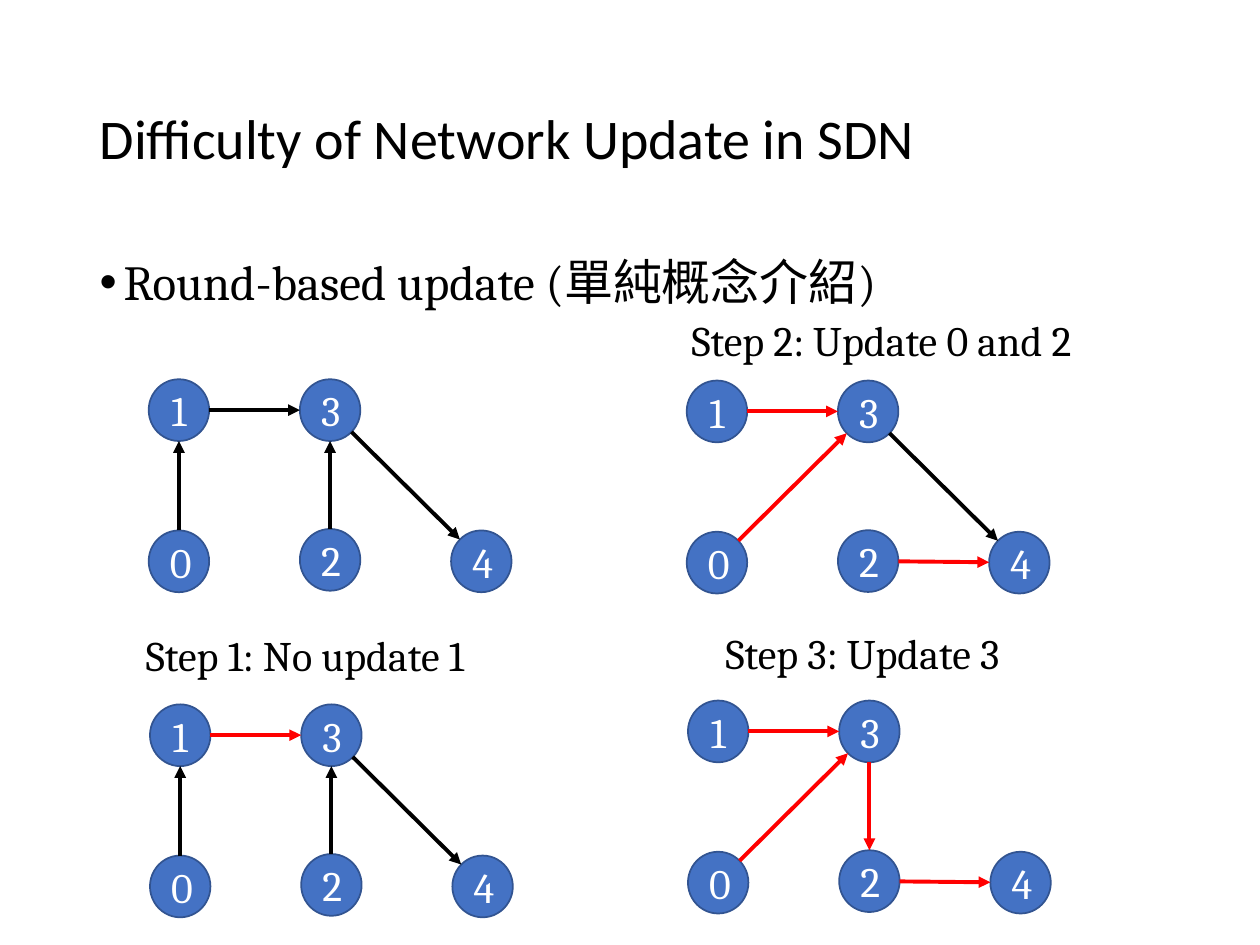
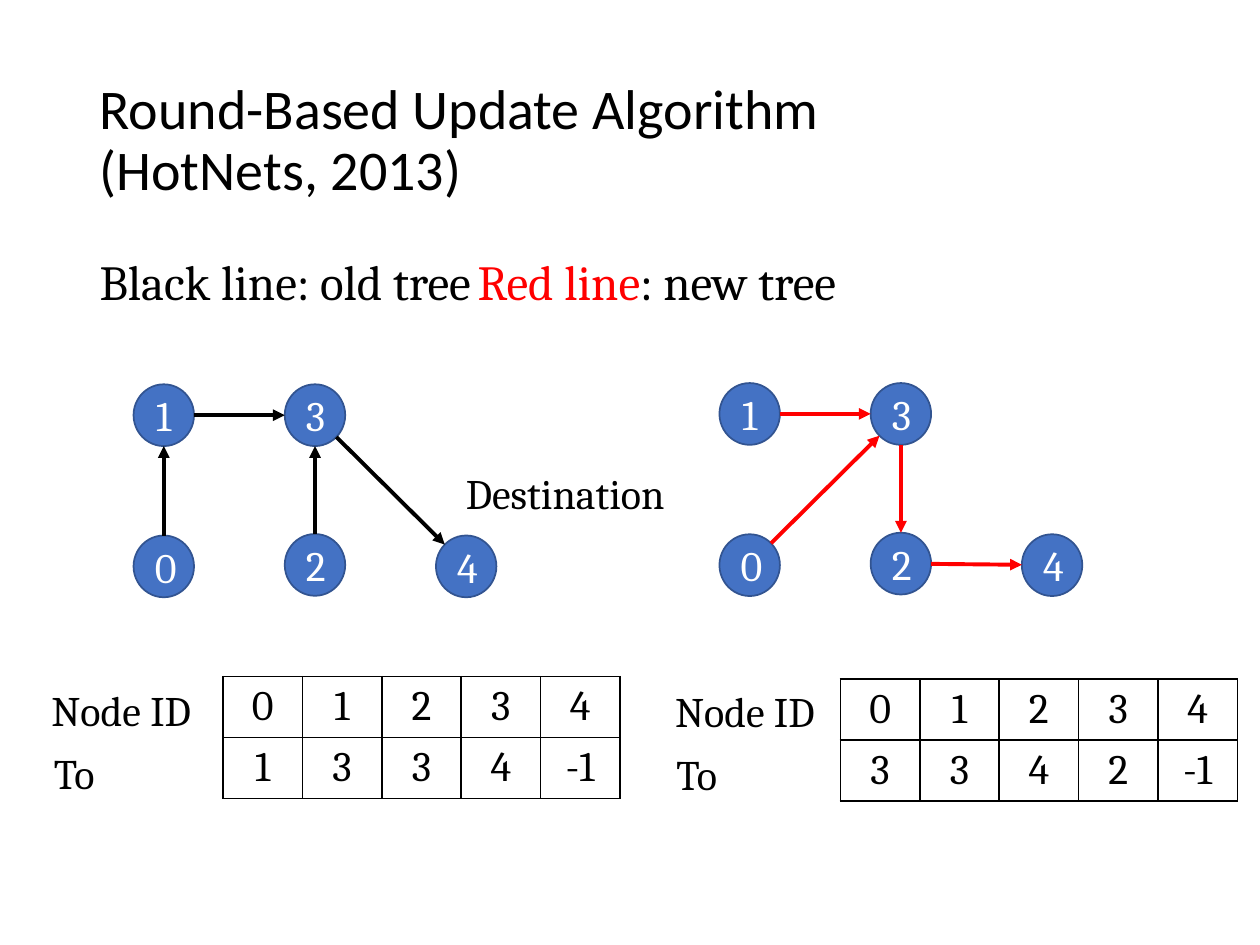
"""Build two slides on round-based network updates in SDN."""
import math

import pptx
import pptx.dml.color
import pptx.enum.shapes
import pptx.enum.text
import pptx.oxml.ns
import pptx.util
from lxml import etree

COLORS = {"ink": "000000", "new": "FF0000", "node": "4472C4",
          "rim": "325491", "digit": "FFFFFF"}
HEADING, READING, CHINESE = "Calibri", "Cambria", "Noto Sans CJK TC"
qn = pptx.oxml.ns.qn
rgb = pptx.dml.color.RGBColor.from_string
align = pptx.enum.text.PP_ALIGN
anchor = pptx.enum.text.MSO_ANCHOR
autosize = pptx.enum.text.MSO_AUTO_SIZE

deck = pptx.Presentation()
deck.slide_width = pptx.util.Inches(10)
deck.slide_height = pptx.util.Inches(7.5)
COL = deck.slide_width // 1000
ROW = deck.slide_height // 750

NODE_WIDTH, NODE_HEIGHT, PITCH = 48, 49, 120
NODE_CELLS = {"0": (0, 1), "1": (0, 0), "2": (1, 0.99), "3": (1, 0), "4": (2, 1)}
TITLE_AREA = (69, 40, 862, 145)
BODY_AREA = (69, 200, 918, 476)


def add_run(paragraph, text, size=24, font=READING, color="ink"):
    run = paragraph.add_run()
    run.text = text
    run.font.size = pptx.util.Pt(size)
    run.font.name = font
    run.font.color.rgb = rgb(COLORS[color])
    etree.SubElement(run._r.get_or_add_rPr(), qn("a:ea"), typeface=font)


def add_tree(slide, left, top, old_links, new_links):
    centers = {}
    for digit, (column, row) in NODE_CELLS.items():
        x, y = left + column * PITCH, top + row * PITCH
        centers[digit] = (x + NODE_WIDTH / 2, y + NODE_HEIGHT / 2)
        node = slide.shapes.add_shape(
            pptx.enum.shapes.MSO_SHAPE.OVAL, int(x * COL), int(y * ROW),
            NODE_WIDTH * COL, NODE_HEIGHT * ROW)
        node.shadow.inherit = False
        node.fill.solid()
        node.fill.fore_color.rgb = rgb(COLORS["node"])
        node.line.color.rgb = rgb(COLORS["rim"])
        node.line.width = pptx.util.Pt(1)
        node.text_frame.vertical_anchor = anchor.MIDDLE
        node.text_frame.paragraphs[0].alignment = align.CENTER
        add_run(node.text_frame.paragraphs[0], digit, color="digit")
    for links, color in ((old_links, "ink"), (new_links, "new")):
        for source, target in links.split():
            (x1, y1), (x2, y2) = centers[source], centers[target]
            angle = math.atan2(y2 - y1, x2 - x1)
            dx = math.cos(angle) * NODE_WIDTH / 2
            dy = math.sin(angle) * NODE_HEIGHT / 2
            arrow = slide.shapes.add_connector(
                pptx.enum.shapes.MSO_CONNECTOR.STRAIGHT,
                int((x1 + dx) * COL), int((y1 + dy) * ROW),
                int((x2 - dx) * COL), int((y2 - dy) * ROW))
            arrow.line.color.rgb = rgb(COLORS[color])
            arrow.line.width = pptx.util.Pt(2.25)
            etree.SubElement(arrow.line._get_or_add_ln(), qn("a:tailEnd"), type="triangle")
            etree.SubElement(arrow._element.spPr, qn("a:effectLst"))


OLD_TREE, NEW_TREE = "01 13 23 34", "03 13 24 32"
pages = [
    {"title": ["Difficulty of Network Update in SDN"],
     "bullet": True,
     "body": [("Round-based update (", READING, "ink"),
              ("單純概念介紹", CHINESE, "ink"), (")", READING, "ink")],
     "captions": [("Step 2: Update 0 and 2", 539, 245, 342),
                  ("Step 3: Update 3", 566, 493, 255),
                  ("Step 1: No update 1", 106, 495, 300)],
     "trees": [(118, 301, OLD_TREE, ""),
               (546, 556, "", NEW_TREE),
               (545, 302, "34", "03 13 24"),
               (119, 559, "01 23 34", "13")],
     "tables": []},
    {"title": ["Round-Based Update Algorithm", "(HotNets, 2013)"],
     "bullet": False,
     "body": [("Black line: old tree\t", READING, "ink"),
              ("Red line", READING, "new"), (": new tree", READING, "ink")],
     "captions": [("Node ID", 31, 538, 144), ("To", 33, 588, 63),
                  ("Node ID", 526, 539, 144), ("To", 527, 589, 63),
                  ("Destination", 360, 366, 187)],
     "trees": [(106, 305, OLD_TREE, ""), (571, 304, "", NEW_TREE)],
     "tables": [(177, 537, ["1", "3", "3", "4", "-1"]),
                (667, 539, ["3", "3", "4", "2", "-1"])]},
]

for page in pages:
    slide = deck.slides.add_slide(deck.slide_layouts[1])
    title, body = slide.shapes.title, slide.placeholders[1]
    for holder, (left, top, width, height) in ((title, TITLE_AREA), (body, BODY_AREA)):
        holder.left, holder.top = left * COL, top * ROW
        holder.width, holder.height = width * COL, height * ROW
        holder.text_frame.auto_size = autosize.NONE
        holder.text_frame.word_wrap = True
        holder.text_frame.paragraphs[0].alignment = align.LEFT
        holder.text_frame.paragraphs[0].line_spacing = 0.9
        holder.text_frame.paragraphs[0].space_before = pptx.util.Pt(0)
    title.text_frame.vertical_anchor = anchor.MIDDLE
    heading = title.text_frame.paragraphs[0]
    for number, line in enumerate(page["title"]):
        if number:
            heading.add_line_break()
        add_run(heading, line, 32, HEADING)

    topic = body.text_frame.paragraphs[0]
    properties = topic._p.get_or_add_pPr()
    hanging = 19 * COL if page["bullet"] else 0
    properties.set("marL", str(hanging))
    properties.set("indent", str(-hanging))
    if page["bullet"]:
        etree.SubElement(properties, qn("a:buFont"), typeface="Arial")
        etree.SubElement(properties, qn("a:buChar"), char="•")
    else:
        etree.SubElement(properties, qn("a:buNone"))
        stops = etree.SubElement(properties, qn("a:tabLst"))
        etree.SubElement(stops, qn("a:tab"), pos=str(375 * COL), algn="l")
    for text, font, color in page["body"]:
        add_run(topic, text, 28, font, color)

    for left, top, next_hops in page["tables"]:
        routes = slide.shapes.add_table(
            2, 5, left * COL, top * ROW, 315 * COL, 96 * ROW).table
        routes.first_row = routes.horz_banding = False
        for column in routes.columns:
            column.width = 63 * COL
        for row, entries in enumerate((sorted(NODE_CELLS), next_hops)):
            for column, entry in enumerate(entries):
                cell = routes.cell(row, column)
                cell.text_frame.paragraphs[0].alignment = align.CENTER
                add_run(cell.text_frame.paragraphs[0], entry)
                for side in ("a:lnL", "a:lnR", "a:lnT", "a:lnB"):
                    border = etree.SubElement(
                        cell._tc.get_or_add_tcPr(), qn(side), w=str(pptx.util.Pt(1)))
                    paint = etree.SubElement(border, qn("a:solidFill"))
                    etree.SubElement(paint, qn("a:srgbClr"), val=COLORS["ink"])
                cell.fill.background()

    for tree in page["trees"]:
        add_tree(slide, *tree)

    for text, left, top, width in page["captions"]:
        caption = slide.shapes.add_textbox(left * COL, top * ROW, width * COL, 50 * ROW)
        caption.text_frame.word_wrap = False
        caption.text_frame.auto_size = autosize.SHAPE_TO_FIT_TEXT
        add_run(caption.text_frame.paragraphs[0], text)

deck.save("out.pptx")
